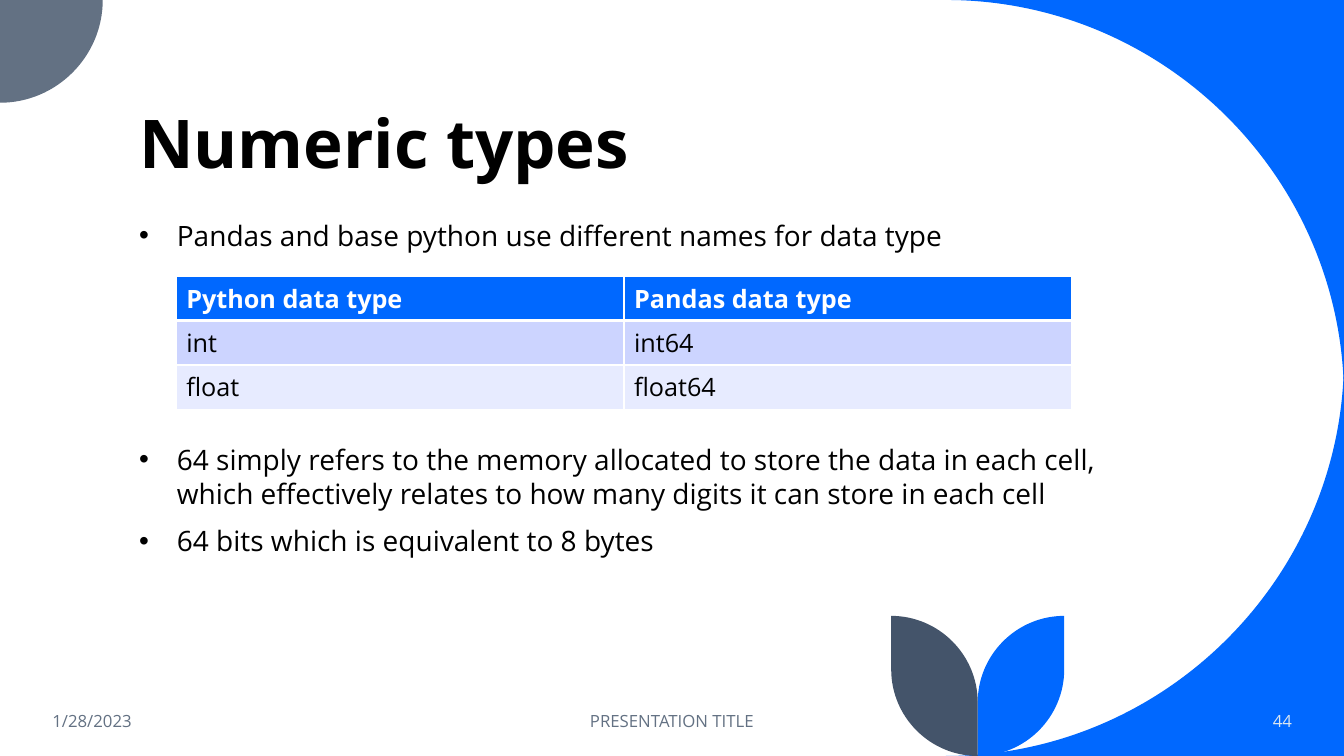
"""Build the slide on numeric types in Python and Pandas."""
from dataclasses import dataclass

import lxml.etree
import pptx
import pptx.util
import pptx.dml.color
import pptx.enum.text
import pptx.oxml.ns

Cm = pptx.util.Cm
Pt = pptx.util.Pt
Align = pptx.enum.text.PP_ALIGN
Anchor = pptx.enum.text.MSO_ANCHOR
qn = pptx.oxml.ns.qn

TITLE = "Numeric types"
BULLETS = [
    ("Pandas and base python use different names for data type", 0),
    ("64 simply refers to the memory allocated to store the data in each cell, "
     "which effectively relates to how many digits it can store in each cell", 136),
    ("64 bits which is equivalent to 8 bytes", 10),
]
TYPE_ROWS = [
    ("Python data type", "Pandas data type"),
    ("int", "int64"),
    ("float", "float64"),
]


@dataclass(frozen=True)
class Theme:
    """Colours, font and type sizes of the slide."""
    font: str = "Open Sans"
    blue: str = "0068FF"
    slate: str = "637183"
    navy: str = "44546A"
    pale: str = "DAE5EF"
    black: str = "000000"
    white: str = "FFFFFF"
    bands: tuple = ("CCD4FF", "E7EBFF")
    title_size: int = 48
    body_size: int = 20
    table_size: int = 18
    footer_size: int = 12
    thin: int = 1
    thick: int = 3


THEME = Theme()
WIDTH, HEIGHT = 33.87, 19.05
CORNER, BADGE, LEAF = 10.03, 2.59, 2.18
LEAF_STEM, LEAF_TOP = 24.64, 15.52
LEAF_SIDE = LEAF_STEM + LEAF
ARC_RATIO = 0.55
LINE, ACROSS, DOWN = "line", "across", "down"
CORNER_OUTLINE = [(WIDTH, 0, LINE), (WIDTH - CORNER, 0, LINE), (WIDTH, CORNER, ACROSS)]
BADGE_OUTLINE = [(0, 0, LINE), (BADGE, 0, LINE), (0, BADGE, DOWN)]
LEAF_OUTLINE = [
    (LEAF_SIDE, LEAF_TOP, LINE),
    (LEAF_SIDE, HEIGHT - LEAF, LINE),
    (LEAF_STEM, HEIGHT, DOWN),
    (LEAF_STEM, LEAF_TOP + LEAF, LINE),
    (LEAF_SIDE, LEAF_TOP, DOWN),
]
FOOTERS = [
    ("1/28/2023", 1.07, 7.62, Align.LEFT, THEME.slate),
    ("PRESENTATION TITLE", 11.22, 11.43, Align.CENTER, THEME.slate),
    ("44", 28.21, 4.6, Align.RIGHT, THEME.pale),
]


def rgb(colour):
    """Turn a hex string into a colour."""
    return pptx.dml.color.RGBColor.from_string(colour)


def style(paragraph, size, colour, bold=False):
    """Set the font of a paragraph."""
    font = paragraph.font
    font.name, font.size, font.bold = THEME.font, Pt(size), bold
    font.color.rgb = rgb(colour)


def arc_handles(start, end, direction):
    """Return the two control points of a quarter arc."""
    (x1, y1), (x2, y2) = start, end
    x_reach, y_reach = ARC_RATIO * (x2 - x1), ARC_RATIO * (y2 - y1)
    if direction == ACROSS:
        return (x1 + x_reach, y1), (x2, y2 - y_reach)
    return (x1, y1 + y_reach), (x2 - x_reach, y2)


def add_outline(slide, outline, colour):
    """Draw a filled closed outline of lines and quarter arcs."""
    corners = [(Cm(x), Cm(y)) for x, y, _ in outline]
    builder = slide.shapes.build_freeform(*corners[0], scale=1.0)
    builder.add_line_segments(corners[1:], close=True)
    shape = builder.convert_to_shape()
    shape.shadow.inherit = False
    shape.fill.solid()
    shape.fill.fore_color.rgb = rgb(colour)
    shape.line.fill.background()
    segments = list(shape.element.iter(qn("a:lnTo")))
    for segment, start, end, part in zip(segments, corners, corners[1:], outline[1:]):
        if part[2] == LINE:
            continue
        segment.tag = qn("a:cubicBezTo")
        for position, (x, y) in enumerate(arc_handles(start, end, part[2])):
            handle = lxml.etree.Element(qn("a:pt"))
            handle.set("x", str(round(x - shape.left)))
            handle.set("y", str(round(y - shape.top)))
            segment.insert(position, handle)


def add_decoration(slide):
    """Draw the corners, the badge and the two leaves."""
    low_corner = [
        (WIDTH, HEIGHT, LINE), (WIDTH - CORNER, HEIGHT, LINE), (WIDTH, HEIGHT - CORNER, ACROSS)
    ]
    left_leaf = [(2 * LEAF_STEM - x, y, kind) for x, y, kind in LEAF_OUTLINE]
    for outline, colour in (
        (CORNER_OUTLINE, THEME.blue),
        (low_corner, THEME.blue),
        (BADGE_OUTLINE, THEME.slate),
        (LEAF_OUTLINE, THEME.blue),
        (left_leaf, THEME.navy),
    ):
        add_outline(slide, outline, colour)


def place(shape, left, top, width, height, anchor):
    """Move a text shape and return its text frame."""
    shape.left, shape.top, shape.width, shape.height = map(Cm, (left, top, width, height))
    frame = shape.text_frame
    frame.word_wrap = True
    frame.auto_size = pptx.enum.text.MSO_AUTO_SIZE.NONE
    frame.vertical_anchor = anchor
    return frame


def add_text(slide):
    """Fill the title, the list and the footer."""
    title = place(slide.shapes.title, 3.25, 1.07, 27.15, 3.68, Anchor.BOTTOM)
    title.text = TITLE
    heading = title.paragraphs[0]
    heading.alignment, heading.line_spacing = Align.LEFT, 0.9
    style(heading, THEME.title_size, THEME.black, True)

    body = place(slide.placeholders[1], 3.25, 5.38, 24.97, 10.85, Anchor.TOP)
    body.text = "\n".join(text for text, _ in BULLETS)
    for paragraph, (_, space) in zip(body.paragraphs, BULLETS):
        paragraph.space_before, paragraph.line_spacing = Pt(space), 1.0
        style(paragraph, THEME.body_size, THEME.black)

    for text, left, width, alignment, colour in FOOTERS:
        box = slide.shapes.add_textbox(0, 0, 0, 0)
        frame = place(box, left, 17.65, width, 1.02, Anchor.MIDDLE)
        frame.text = text
        frame.paragraphs[0].alignment = alignment
        style(frame.paragraphs[0], THEME.footer_size, colour)


def set_borders(cell, top, bottom):
    """Give a cell white borders, with top and bottom widths in points."""
    properties = cell._tc.get_or_add_tcPr()
    widths = {"L": THEME.thin, "R": THEME.thin, "T": top, "B": bottom}
    for position, (side, width) in enumerate(widths.items()):
        border = lxml.etree.Element(qn(f"a:ln{side}"), w=str(Pt(width)))
        fill = lxml.etree.SubElement(border, qn("a:solidFill"))
        lxml.etree.SubElement(fill, qn("a:srgbClr"), val=THEME.white)
        properties.insert(position, border)


def add_types_table(slide):
    """Add the table of type names."""
    table = slide.shapes.add_table(
        len(TYPE_ROWS), len(TYPE_ROWS[0]), Cm(4.44), Cm(6.96), Cm(22.57), Cm(3.1)
    ).table
    for row, texts in enumerate(TYPE_ROWS):
        header = row == 0
        fill = THEME.blue if header else THEME.bands[(row - 1) % 2]
        for column, text in enumerate(texts):
            cell = table.cell(row, column)
            cell.text = text
            cell.fill.solid()
            cell.fill.fore_color.rgb = rgb(fill)
            set_borders(cell, THEME.thick if row == 1 else THEME.thin,
                        THEME.thick if header else THEME.thin)
            colour = THEME.white if header else THEME.black
            style(cell.text_frame.paragraphs[0], THEME.table_size, colour, header)


def main():
    """Build and save the presentation."""
    presentation = pptx.Presentation()
    presentation.slide_width, presentation.slide_height = Cm(WIDTH), Cm(HEIGHT)
    slide = presentation.slides.add_slide(presentation.slide_layouts[1])
    add_decoration(slide)
    add_text(slide)
    add_types_table(slide)
    presentation.save("out.pptx")


if __name__ == "__main__":
    main()
